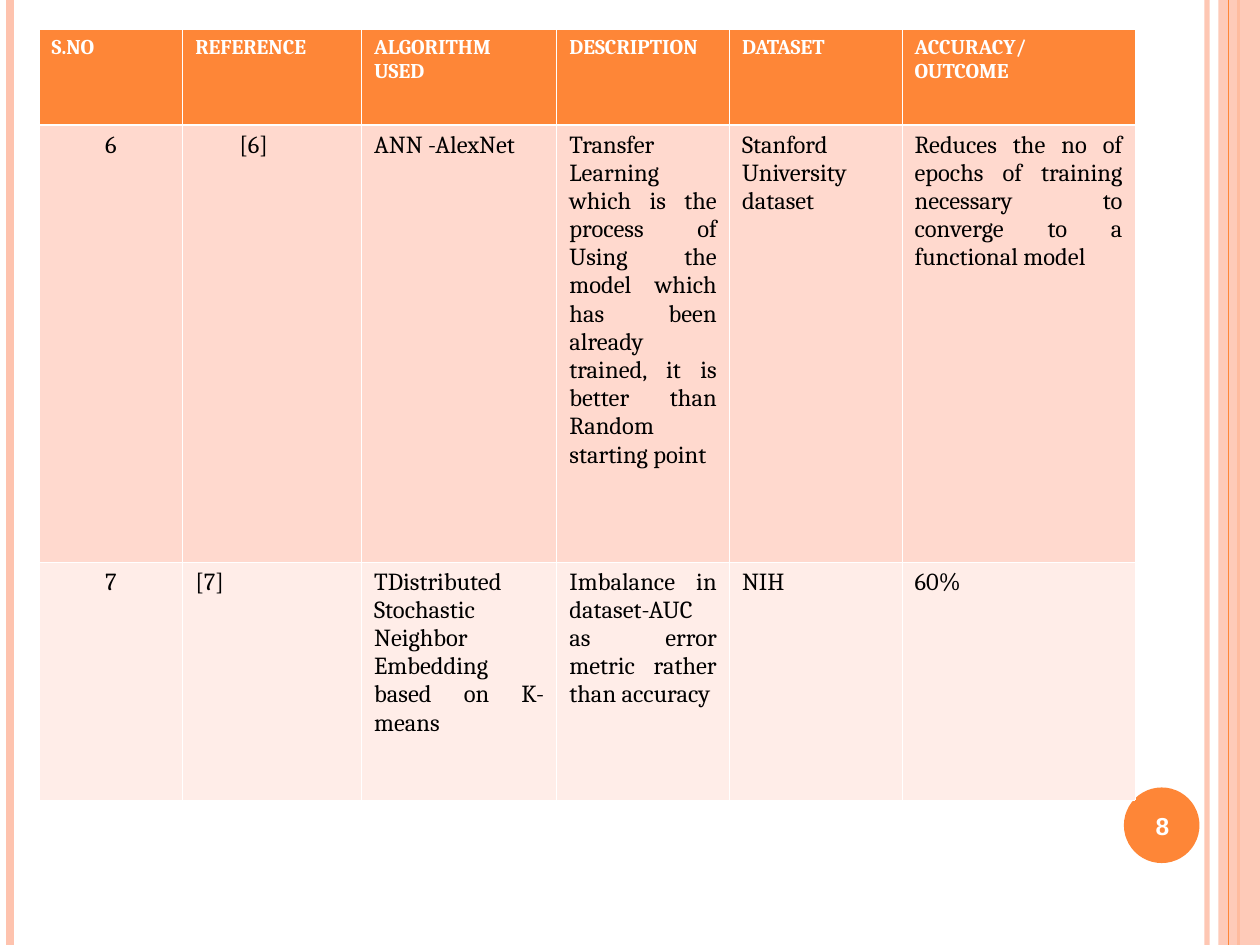
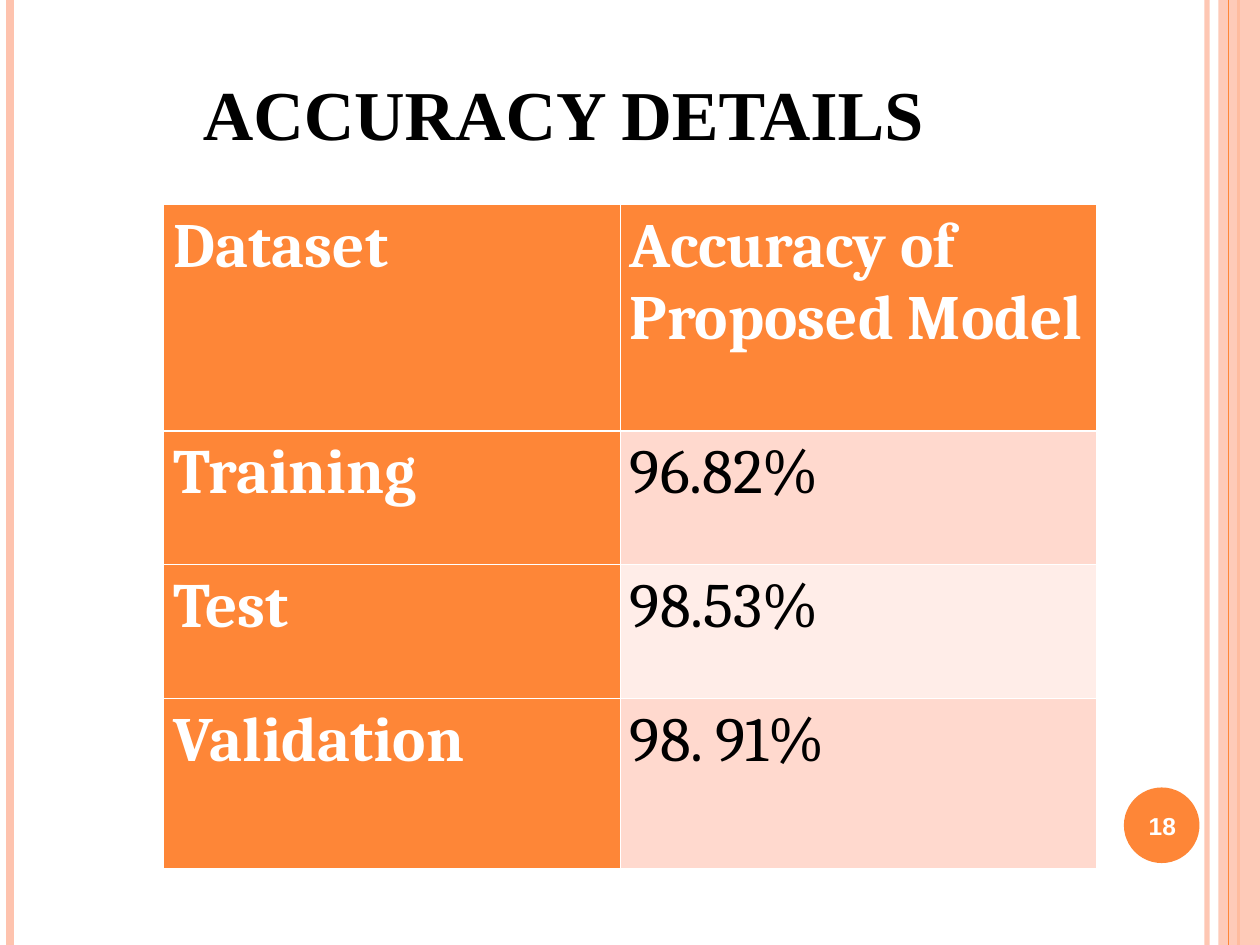
import pptx
import pptx.dml.color
import pptx.enum.shapes
import pptx.enum.text
import pptx.oxml.ns
import pptx.util
from lxml import etree

Inches, Pt = pptx.util.Inches, pptx.util.Pt
ALIGN = pptx.enum.text.PP_ALIGN
MIDDLE = pptx.enum.text.MSO_ANCHOR.MIDDLE
BOTTOM = pptx.enum.text.MSO_ANCHOR.BOTTOM
SHAPE = pptx.enum.shapes.MSO_SHAPE
qn = pptx.oxml.ns.qn

COLORS = {
    "accent": "FE8637",
    "band": "FEC3AE",
    "row_dark": "FFD9CE",
    "row_light": "FFEDE8",
    "white": "FFFFFF",
    "black": "000000",
}
SLIDE_W, SLIDE_H = 10, 7.5
THIN, THICK = 0.45, 1.47

# x, colour, width in points, opacity in percent
RULES_BEHIND_BAND = [
    (9.58, "band", 3, 93),
    (0.08, "band", 4.5, 100),
    (9.83, "accent", 1.5, 100),
]
RULE_ON_BAND = (9.75, "accent", 0.75, 100)

LITERATURE = {
    "page": "8",
    "title": None,
    "at": (0.31, 0.23),
    "columns": [1.14, 1.42, 1.55, 1.37, 1.37, 1.85],
    "rows": [0.76, 3.47, 1.89],
    "sizes": (12, 14),
    "margin": 0.1,
    "header_column": False,
    "alignments": [ALIGN.CENTER] + [ALIGN.JUSTIFY] * 5,
    "indents": {(1, 1): 0.35},
    "cells": [
        ["S.NO", "REFERENCE", "ALGORITHM USED", "DESCRIPTION", "DATASET",
         "ACCURACY/\nOUTCOME"],
        ["6", "[6]", "ANN -AlexNet",
         "Transfer Learning which is the process of Using the model which has "
         "been already trained, it is better than Random starting point",
         "Stanford University dataset",
         "Reduces the no of epochs of training necessary to converge to a "
         "functional model"],
        ["7", "[7]",
         "TDistributed Stochastic Neighbor Embedding based on K-means",
         "Imbalance in dataset-AUC as error metric rather than accuracy",
         "NIH", "60%"],
    ],
}
ACCURACY = {
    "page": "18",
    "title": "ACCURACY DETAILS",
    "at": (1.3, 1.62),
    "columns": [3.62, 3.78],
    "rows": [1.8, 1.06, 1.06, 1.35],
    "sizes": (36, 36),
    "margin": 0.08,
    "header_column": True,
    "alignments": [ALIGN.LEFT] * 2,
    "indents": {},
    "cells": [
        ["Dataset", "Accuracy of Proposed Model"],
        ["Training", "96.82%"],
        ["Test", "98.53%"],
        ["Validation", "98. 91%"],
    ],
}


def rgb(name):
    return pptx.dml.color.RGBColor.from_string(COLORS[name])


def set_opacity(element, percent):
    if percent < 100:
        for color in element.iter(qn("a:srgbClr")):
            etree.SubElement(color, qn("a:alpha"), val=str(percent * 1000))


def style_font(paragraph, face, size, color, bold):
    font = paragraph.font
    font.name, font.size, font.bold = face, Pt(size), bold
    font.color.rgb = rgb(color)


def indent(paragraph, inches):
    properties = paragraph._p.get_or_add_pPr()
    properties.set("marL", str(Inches(inches)))
    properties.set("indent", "0")


def add_rule(slide, x, color, width, opacity):
    rule = slide.shapes.add_connector(
        pptx.enum.shapes.MSO_CONNECTOR.STRAIGHT,
        Inches(x), 0, Inches(x), Inches(SLIDE_H))
    rule.line.color.rgb = rgb(color)
    rule.line.width = Pt(width)
    properties = rule._element.spPr
    set_opacity(properties, opacity)
    etree.SubElement(properties, qn("a:effectLst"))


def add_filled(slide, kind, box, color, opacity=100):
    shape = slide.shapes.add_shape(kind, *map(Inches, box))
    shape.shadow.inherit = False
    shape.fill.solid()
    shape.fill.fore_color.rgb = rgb(color)
    shape.line.fill.background()
    set_opacity(shape._element.spPr, opacity)


def add_frame(slide):
    """Draw the side rules, the right band and the page number disc."""
    for rule in RULES_BEHIND_BAND:
        add_rule(slide, *rule)
    add_filled(slide, SHAPE.RECTANGLE, (9.67, 0, 0.33, SLIDE_H), "band", 87)
    add_rule(slide, *RULE_ON_BAND)
    add_filled(slide, SHAPE.OVAL, (8.92, 6.25, 0.6, 0.6), "accent")


def add_page_number(slide, number):
    page = slide.shapes.add_textbox(*map(Inches, (8.89, 6.27, 0.67, 0.57)))
    page.text_frame.word_wrap = True
    page.text_frame.vertical_anchor = MIDDLE
    paragraph = page.text_frame.paragraphs[0]
    paragraph.text = number
    paragraph.alignment = ALIGN.CENTER
    style_font(paragraph, "Arial", 14, "white", True)


def set_title(slide, text):
    title = slide.shapes.title
    title.left, title.top, title.width, title.height = map(
        Inches, (0.51, 0.03, 8.17, 1.25))
    title.text_frame.text = text
    title.text_frame.vertical_anchor = BOTTOM
    paragraph = title.text_frame.paragraphs[0]
    paragraph.alignment = ALIGN.LEFT
    indent(paragraph, 1)
    style_font(paragraph, "Times New Roman", 40, "black", True)


def set_borders(cell, row):
    """Draw white cell borders, thicker below the header row."""
    widths = {
        "L": THIN,
        "R": THIN,
        "T": THICK if row == 1 else THIN,
        "B": THICK if row == 0 else THIN,
    }
    properties = cell._tc.get_or_add_tcPr()
    for side, width in widths.items():
        line = etree.SubElement(properties, qn(f"a:ln{side}"), w=str(Pt(width)))
        fill = etree.SubElement(line, qn("a:solidFill"))
        etree.SubElement(fill, qn("a:srgbClr"), val=COLORS["white"])


def add_grid(slide, content):
    columns, rows = content["columns"], content["rows"]
    grid = slide.shapes.add_table(
        len(rows), len(columns), *map(Inches, content["at"]),
        Inches(sum(columns)), Inches(sum(rows))).table
    grid.first_col = content["header_column"]
    for column, width in zip(grid.columns, columns):
        column.width = Inches(width)
    for row, height in zip(grid.rows, rows):
        row.height = Inches(height)

    for r, texts in enumerate(content["cells"]):
        for c, text in enumerate(texts):
            cell = grid.cell(r, c)
            is_header = r == 0 or (c == 0 and content["header_column"])
            row_fill = "row_dark" if r % 2 else "row_light"
            set_borders(cell, r)
            cell.fill.solid()
            cell.fill.fore_color.rgb = rgb("accent" if is_header else row_fill)
            cell.margin_left = cell.margin_right = Inches(content["margin"])
            cell.text_frame.text = text
            for paragraph in cell.text_frame.paragraphs:
                paragraph.alignment = (
                    ALIGN.LEFT if r == 0 else content["alignments"][c])
                if (r, c) in content["indents"]:
                    indent(paragraph, content["indents"][r, c])
                style_font(paragraph, "Cambria", content["sizes"][r > 0],
                           "white" if is_header else "black", is_header)


def main():
    deck = pptx.Presentation()
    deck.slide_width, deck.slide_height = Inches(SLIDE_W), Inches(SLIDE_H)
    title_only, blank = deck.slide_layouts[5], deck.slide_layouts[6]
    for content in (LITERATURE, ACCURACY):
        slide = deck.slides.add_slide(title_only if content["title"] else blank)
        add_frame(slide)
        if content["title"]:
            set_title(slide, content["title"])
        add_grid(slide, content)
        add_page_number(slide, content["page"])
    deck.save("out.pptx")


if __name__ == "__main__":
    main()
